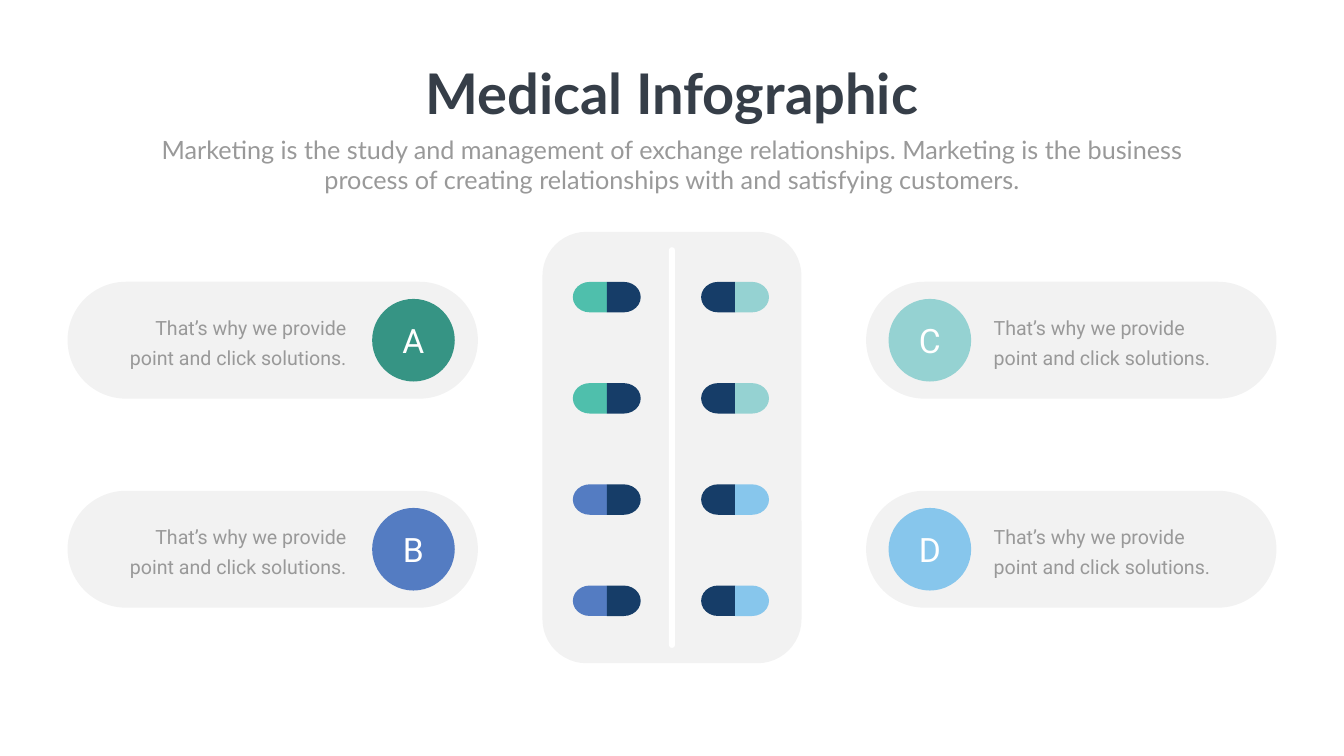
import pptx
import pptx.util
import pptx.dml.color
import pptx.enum.shapes
import pptx.enum.text
from dataclasses import dataclass
from lxml import etree

Pt = pptx.util.Pt
SHAPE = pptx.enum.shapes.MSO_SHAPE
ALIGN = pptx.enum.text.PP_ALIGN


@dataclass(frozen=True)
class Theme:
    white: str = "FFFFFF"
    ink: str = "363E48"
    grey: str = "999999"
    panel: str = "808080"
    panel_alpha: int = 10
    navy: str = "163D68"
    green: str = "369484"
    mint: str = "4FBFAC"
    blue: str = "547CC2"
    aqua: str = "95D2D2"
    sky: str = "87C6EC"
    head_font: str = "Lato"
    body_font: str = "Roboto"
    title: int = 80
    subtitle: int = 36
    letter: int = 48
    body: int = 28


T = Theme()


def rgb(color):
    return pptx.dml.color.RGBColor.from_string(color)


def add_shape(s, kind, box, color, alpha=None, corner=None):
    sp = s.shapes.add_shape(kind, *map(Pt, box))
    sp.shadow.inherit = False
    sp.fill.solid()
    sp.fill.fore_color.rgb = rgb(color)
    sp.line.fill.background()
    if corner is not None:
        sp.adjustments[0] = corner
    if alpha is not None:
        clr = sp.fill._xPr.find(".//" + pptx.oxml.ns.qn("a:srgbClr"))
        etree.SubElement(clr, pptx.oxml.ns.qn("a:alpha"), val=str(alpha * 1000))
    return sp


def add_text(s, box, text, font, size, color, align, bold=False, spacing=None, wrap=True):
    tf = s.shapes.add_textbox(*map(Pt, box)).text_frame
    tf.word_wrap = wrap
    p = tf.paragraphs[0]
    p.text = text
    p.alignment = align
    if spacing:
        p.line_spacing = Pt(spacing)
    p.font.name, p.font.size, p.font.bold = font, Pt(size), bold
    p.font.color.rgb = rgb(color)


def heading(s, x, y, w, title, subtitle):
    title_w = 734
    add_text(s, (x + (w - title_w) / 2, y, title_w, 104), title, T.head_font,
             T.title, T.ink, ALIGN.CENTER, bold=True, wrap=False)
    add_text(s, (x, y + 107.3, w, 94), subtitle, T.head_font,
             T.subtitle, T.grey, ALIGN.CENTER)


def pill(s, x, y, left, right):
    half_w, h = 48.5, 43.5
    for i, color in enumerate((left, right)):
        sp = add_shape(s, SHAPE.FLOWCHART_DELAY, (x + i * half_w, y, half_w, h), color)
        sp.rotation = 0 if i else 180


def blister_pack(s, x, y, w, h, rows):
    add_shape(s, SHAPE.ROUNDED_RECTANGLE, (x, y, w, h), T.panel, T.panel_alpha, 0.17)
    # Divider
    add_shape(s, SHAPE.ROUNDED_RECTANGLE, (x + (w - 8.6) / 2, y + 22, 8.6, h - 44),
              T.white, corner=0.5)
    # Pills: the navy halves face the divider
    for i, (left, right) in enumerate(rows):
        top = y + 71.5 + i * 144.6
        pill(s, x + 43.4, top, left, T.navy)
        pill(s, x + 226.6, top, T.navy, right)


def card(s, x, y, w, h, letter, color, text, badge_right):
    add_shape(s, SHAPE.ROUNDED_RECTANGLE, (x, y, w, h), T.panel, T.panel_alpha, 0.5)
    # Lettered badge
    d = 118
    badge_x = x + (w - d - 33 if badge_right else 32)
    badge_y = y + (h - d) / 2
    add_shape(s, SHAPE.OVAL, (badge_x, badge_y, d, d), color)
    add_text(s, (badge_x + 23.4, badge_y + 26, 71.2, 65.5), letter, T.body_font,
             T.letter, T.white, ALIGN.CENTER)
    # Caption
    text_x = x + (51 if badge_right else 175)
    add_text(s, (text_x, y + 36, 354.2, 90), text, T.body_font, T.body, T.grey,
             ALIGN.RIGHT if badge_right else ALIGN.LEFT, spacing=43)


def main():
    prs = pptx.Presentation()
    prs.slide_width, prs.slide_height = Pt(1919.52), Pt(1080)
    s = prs.slides.add_slide(prs.slide_layouts[6])

    # Blister pack
    blister_pack(s, 774.7, 331.2, 370, 616.3,
                 [(T.mint, T.aqua)] * 2 + [(T.blue, T.sky)] * 2)

    # Cards, two on each side
    caption = "That’s why we provide point and click solutions."
    columns = [(96.5, True, [("A", T.green), ("B", T.blue)]),
               (1237, False, [("C", T.aqua), ("D", T.sky)])]
    for x, badge_right, cards in columns:
        for i, (letter, color) in enumerate(cards):
            card(s, x, 402.5 + i * 298.6, 586, 167, letter, color, caption, badge_right)

    # Heading
    heading(s, 210.2, 80.6, 1499, "Medical Infographic",
            "Marketing is the study and management of exchange relationships. "
            "Marketing is the business process of creating relationships with "
            "and satisfying customers.")

    prs.save("out.pptx")


if __name__ == "__main__":
    main()
